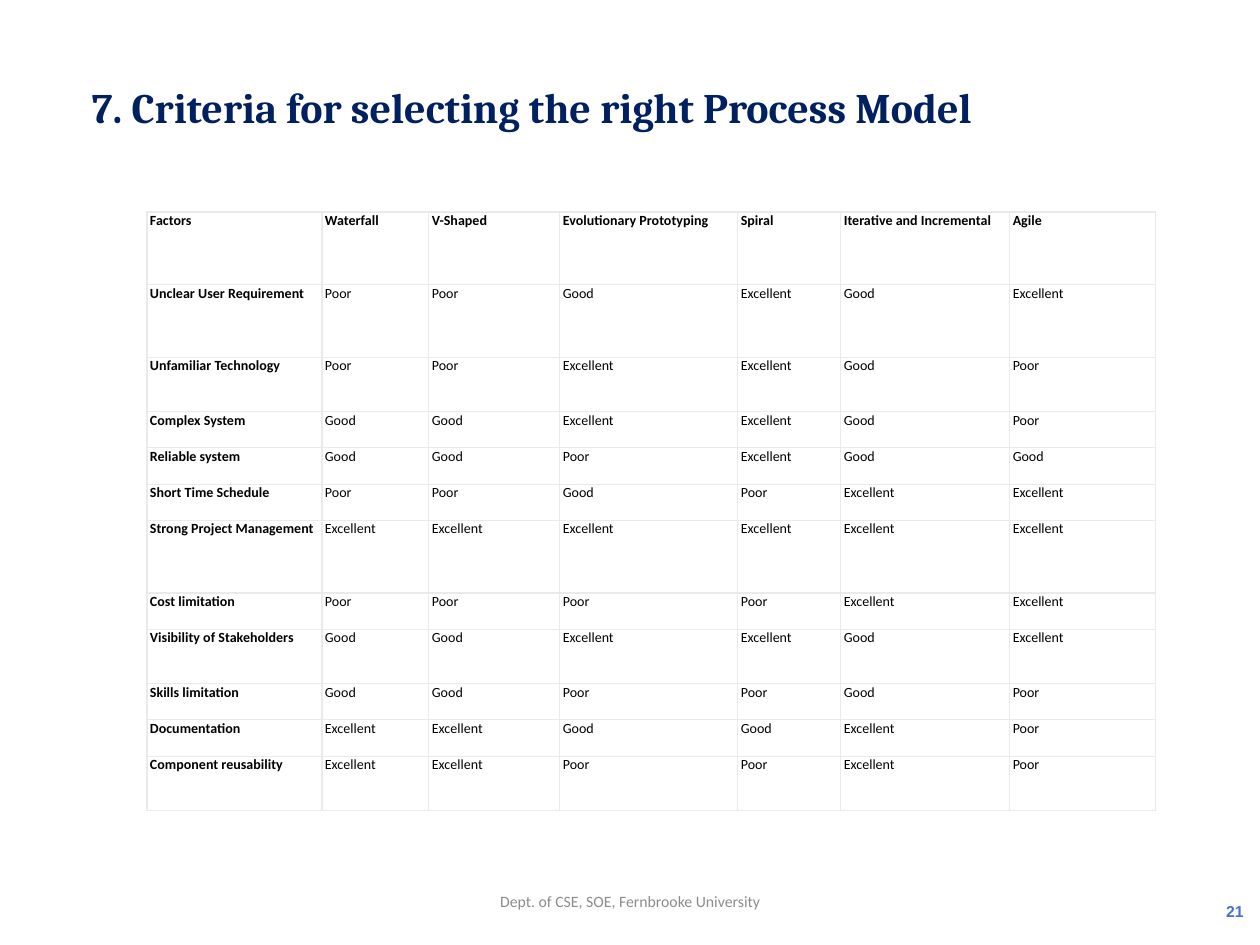
import dataclasses
import pptx
import pptx.util
import pptx.dml.color
import pptx.enum.text
import pptx.oxml
import pptx.oxml.ns

PX = 914400 // 126
ALIGN = pptx.enum.text.PP_ALIGN
MIDDLE = pptx.enum.text.MSO_ANCHOR.MIDDLE


@dataclasses.dataclass(frozen=True)
class Theme:
    navy: str = "002060"
    blue: str = "4472C4"
    gray: str = "8C8C8C"
    black: str = "000000"
    white: str = "FFFFFF"
    rule: str = "EAEAEA"
    head: str = "Cambria"
    body: str = "Calibri"
    num: str = "Arial"
    big: int = 24
    note: int = 9
    small: int = 8


THEME = Theme()

GRADES = {"P": "Poor", "G": "Good", "E": "Excellent"}
MODELS = ["Factors", "Waterfall", "V-Shaped", "Evolutionary Prototyping",
          "Spiral", "Iterative and Incremental", "Agile"]
FACTORS = [
    ("Unclear User Requirement", "PPGEGE", 4),
    ("Unfamiliar Technology", "PPEEGP", 3),
    ("Complex System", "GGEEGP", 2),
    ("Reliable system", "GGPEGG", 2),
    ("Short Time Schedule", "PPGPEE", 2),
    ("Strong Project Management", "EEEEEE", 4),
    ("Cost limitation", "PPPPEE", 2),
    ("Visibility of Stakeholders", "GGEEGE", 3),
    ("Skills limitation", "GGPPGP", 2),
    ("Documentation", "EEGGEP", 2),
    ("Component reusability", "EEPPEP", 3),
]
WIDTHS = [175, 107, 131, 178, 103, 169, 146]


def color(code):
    return pptx.dml.color.RGBColor.from_string(code)


def apply(item, values):
    for name, value in values.items():
        setattr(item, name, value)


def write(frame, text, face, size, tint, bold=False, **para):
    line = frame.paragraphs[0]
    apply(line, para)
    run = line.add_run()
    run.text = text
    apply(run.font, {"name": face, "size": pptx.util.Pt(size), "bold": bold})
    run.font.color.rgb = color(tint)


def title(slide, box):
    shape = slide.shapes.title
    apply(shape, dict(zip(("left", "top", "width", "height"),
                          (v * PX for v in box))))
    frame = shape.text_frame
    apply(frame, {
        "margin_left": 9 * PX, "margin_right": 9 * PX,
        "margin_top": 4 * PX, "margin_bottom": 4 * PX,
        "word_wrap": True, "vertical_anchor": MIDDLE,
        "auto_size": pptx.enum.text.MSO_AUTO_SIZE.SHAPE_TO_FIT_TEXT,
    })
    write(frame, "7. Criteria for selecting the right Process Model",
          THEME.head, THEME.big, THEME.navy, True, alignment=ALIGN.LEFT,
          line_spacing=0.9, space_after=pptx.util.Pt(6))


def label(slide, box, text, face, tint, bold, align):
    frame = slide.shapes.add_textbox(*(v * PX for v in box)).text_frame
    apply(frame, {"word_wrap": True, "vertical_anchor": MIDDLE})
    write(frame, text, face, THEME.note, tint, bold, alignment=align)


def border(cell):
    props = cell._tc.get_or_add_tcPr()
    for side in "LRTB":
        props.append(pptx.oxml.parse_xml(
            f'<a:ln{side} {pptx.oxml.ns.nsdecls("a")} w="9525"><a:solidFill>'
            f'<a:srgbClr val="{THEME.rule}"/></a:solidFill></a:ln{side}>'))


def matrix(slide, box):
    rows = [MODELS] + [[name] + [GRADES[g] for g in marks]
                       for name, marks, _ in FACTORS]
    units = [4] + [unit for _, _, unit in FACTORS]
    left, top, width, height = (v * PX for v in box)
    table = slide.shapes.add_table(len(rows), len(MODELS),
                                   left, top, width, height).table
    apply(table, {"first_row": False, "horz_banding": False})
    for col, part in zip(table.columns, WIDTHS):
        col.width = width * part // sum(WIDTHS)
    for row, unit in zip(table.rows, units):
        row.height = height * unit // sum(units)
    for r, texts in enumerate(rows):
        for c, text in enumerate(texts):
            cell = table.cell(r, c)
            apply(cell, {"margin_left": 3 * PX, "margin_right": 0,
                         "margin_top": 0, "margin_bottom": 0})
            border(cell)
            cell.fill.solid()
            cell.fill.fore_color.rgb = color(THEME.white)
            write(cell.text_frame, text, THEME.body, THEME.small,
                  THEME.black, r == 0 or c == 0)


def main():
    deck = pptx.Presentation()
    apply(deck, {"slide_width": 1260 * PX, "slide_height": 945 * PX})
    slide = deck.slides.add_slide(deck.slide_layouts[5])
    title(slide, (83, 81, 1074, 58))
    label(slide, (417, 876, 426, 50),
          "Dept. of CSE, SOE, Fernbrooke University",
          THEME.body, THEME.gray, False, ALIGN.CENTER)
    label(slide, (973, 886, 283, 50), "21",
          THEME.num, THEME.blue, True, ALIGN.RIGHT)
    matrix(slide, (147, 212, 1009, 599))
    deck.save("out.pptx")


if __name__ == "__main__":
    main()
